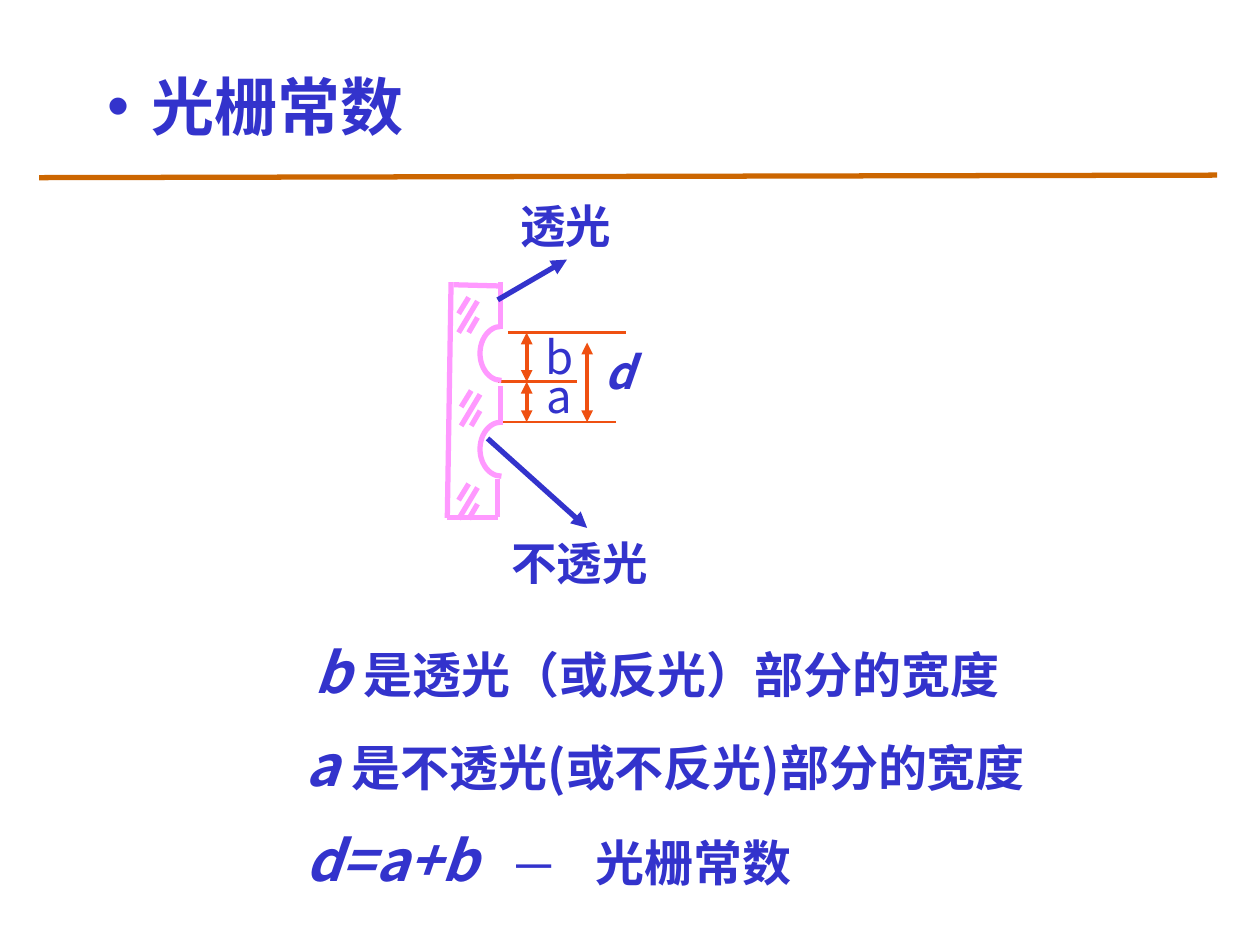
from lxml.etree import SubElement
from pptx import Presentation
from pptx.dml.color import RGBColor
from pptx.enum.shapes import MSO_CONNECTOR, MSO_SHAPE
from pptx.enum.text import MSO_ANCHOR, MSO_AUTO_SIZE, PP_ALIGN
from pptx.oxml.ns import qn
from pptx.util import Inches, Pt

BLUE = RGBColor(0x33, 0x33, 0xCC)
ORANGE = RGBColor(0xEF, 0x50, 0x11)
PINK = RGBColor(0xFF, 0x99, 0xFF)
BROWN = RGBColor(0xCC, 0x66, 0x00)
CJK_FONT = "Noto Sans CJK SC"

# Content: a run is (text, size, bold, italic, font)
TITLE = [(" 光栅常数", 36, True, False, CJK_FONT)]
DEFINITIONS = [  # left, top, width, runs, tab stops
    (2.4, 5.01, 7.6, [("b ", 32, True, True, CJK_FONT),
                      ("是透光（或反光）部分的宽度", 28, True, False, CJK_FONT)], []),
    (2.33, 5.75, 7, [("a ", 32, True, True, CJK_FONT),
                     ("是不透光(或不反光)部分的宽度", 28, True, False, CJK_FONT)], []),
    (2.33, 6.5, 5, [("d=a+b\t", 32, True, True, CJK_FONT),
                    ("─\t", 28, True, True, "Arial"),
                    ("光栅常数", 28, True, False, CJK_FONT)], [1.67, 2.3]),
]
LABELS = [  # text, left, top, width, bold
    ("a", 4.24, 2.87, 0.4, False),
    ("b", 4.23, 2.56, 0.42, False),
    ("透光", 4.01, 1.52, 0.96, True),
    ("不透光", 3.92, 4.2, 1.36, True),
]

# Grating geometry
GRATING_EDGES = [
    (3.6, 2.26, 3.97, 2.27), (3.97, 2.24, 3.97, 2.61), (3.97, 3.06, 3.97, 3.37),
    (3.95, 3.8, 3.95, 4.1), (3.58, 2.24, 3.55, 4.11), (3.55, 4.11, 3.95, 4.11),
]
NOTCH_TOPS = [2.59, 3.35]
NOTCH_CENTER, NOTCH_WIDTH, NOTCH_HEIGHT = 3.98, 0.34, 0.43
HATCH_ORIGINS = [(3.64, 2.36), (3.66, 3.1), (3.64, 3.84)]
HATCH_STROKES = [(0.15, 0.16, 0.08, 0.28), (0.08, 0, 0, 0.13), (0.15, 0.03, 0, 0.28)]

# Dimension lines and pointers
LEVEL_TOP, LEVEL_MIDDLE, LEVEL_BOTTOM = 2.64, 3.03, 3.35
LEVEL_LINES = [(4.03, 4.97, LEVEL_TOP), (3.95, 4.58, LEVEL_MIDDLE), (3.95, 4.89, LEVEL_BOTTOM)]
DIMENSIONS = [(4.18, LEVEL_MIDDLE, LEVEL_BOTTOM), (4.18, LEVEL_TOP, LEVEL_MIDDLE),
              (4.66, 2.72, LEVEL_BOTTOM)]
POINTERS = [(3.95, 2.38, 4.5, 2.06), (3.87, 3.48, 4.66, 4.19)]


def fill_paragraph(paragraph, runs):
    for text, size, bold, italic, font_name in runs:
        run = paragraph.add_run()
        run.text = text
        font = run.font
        font.size, font.bold, font.italic = Pt(size), bold, italic
        font.name = font_name
        font.color.rgb = BLUE
        SubElement(font._element, qn("a:ea"), typeface=font_name)


def add_text(slide, left, top, width, height, runs, wrap=True, align=PP_ALIGN.LEFT):
    box = slide.shapes.add_textbox(Inches(left), Inches(top), Inches(width), Inches(height))
    box.text_frame.word_wrap = wrap
    paragraph = box.text_frame.paragraphs[0]
    paragraph.alignment = align
    fill_paragraph(paragraph, runs)
    return box


def add_line(slide, x1, y1, x2, y2, color, width, ends=()):
    line = slide.shapes.add_connector(
        MSO_CONNECTOR.STRAIGHT, Inches(x1), Inches(y1), Inches(x2), Inches(y2))
    line.line.color.rgb = color
    line.line.width = Pt(width)
    for end in ends:
        SubElement(line.line._get_or_add_ln(), qn(f"a:{end}"), type="triangle")
    SubElement(line._element.spPr, qn("a:effectLst"))


def add_notch(slide, top):
    arc = slide.shapes.add_shape(
        MSO_SHAPE.ARC, Inches(NOTCH_CENTER - NOTCH_WIDTH / 2), Inches(top),
        Inches(NOTCH_WIDTH), Inches(NOTCH_HEIGHT))
    arc.adjustments[0] = 54   # 90 degrees
    arc.adjustments[1] = 162  # 270 degrees
    arc.fill.background()
    arc.line.color.rgb = PINK
    arc.line.width = Pt(3)
    arc.shadow.inherit = False


def main():
    presentation = Presentation()
    presentation.slide_width, presentation.slide_height = Inches(10), Inches(7.5)
    slide = presentation.slides.add_slide(presentation.slide_layouts[5])

    # Title with bullet
    title = slide.shapes.title
    title.left, title.top = Inches(0.75), Inches(0.21)
    title.width, title.height = Inches(8.5), Inches(1.25)
    title.text_frame.vertical_anchor = MSO_ANCHOR.MIDDLE
    paragraph = title.text_frame.paragraphs[0]
    paragraph.alignment = PP_ALIGN.LEFT
    fill_paragraph(paragraph, TITLE)
    properties = paragraph._p.get_or_add_pPr()
    bullet_color = SubElement(properties, qn("a:buClr"))
    SubElement(bullet_color, qn("a:srgbClr"), val=str(BLUE))
    SubElement(properties, qn("a:buFont"), typeface="Arial")
    SubElement(properties, qn("a:buChar"), char="•")
    add_line(slide, 0.31, 1.41, 9.66, 1.39, BROWN, 3)

    # Definitions
    for left, top, width, runs, tab_stops in DEFINITIONS:
        box = add_text(slide, left, top, width, 0.64, runs)
        if tab_stops:
            properties = box.text_frame.paragraphs[0]._p.get_or_add_pPr()
            tab_list = SubElement(properties, qn("a:tabLst"))
            for stop in tab_stops:
                SubElement(tab_list, qn("a:tab"), pos=str(Inches(stop)), algn="l")

    # Dimension lines
    for x1, x2, y in LEVEL_LINES:
        add_line(slide, x1, y, x2, y, ORANGE, 1.5)
    for x, y1, y2 in DIMENSIONS:
        add_line(slide, x, y1, x, y2, ORANGE, 2.25, ("headEnd", "tailEnd"))

    # Grating outline, notches and hatching
    for edge in GRATING_EDGES:
        add_line(slide, *edge, PINK, 3)
    for top in NOTCH_TOPS:
        add_notch(slide, top)
    for x, y in HATCH_ORIGINS:
        for x1, y1, x2, y2 in HATCH_STROKES:
            add_line(slide, x + x1, y + y1, x + x2, y + y2, PINK, 3)

    # Labels and pointers
    for text, left, top, width, bold in LABELS:
        label = add_text(slide, left, top, width, 0.54, [(text, 26, bold, False, CJK_FONT)],
                         wrap=False, align=PP_ALIGN.CENTER)
        label.text_frame.auto_size = MSO_AUTO_SIZE.SHAPE_TO_FIT_TEXT
    period = add_text(slide, 4.79, 2.72, 0.43, 0.29, [("d", 26, True, True, CJK_FONT)])
    frame = period.text_frame
    frame.margin_left = frame.margin_right = Inches(0.01)
    frame.margin_top = frame.margin_bottom = Inches(0.01)
    for pointer in POINTERS:
        add_line(slide, *pointer, BLUE, 3, ("tailEnd",))

    presentation.save("out.pptx")


if __name__ == "__main__":
    main()
